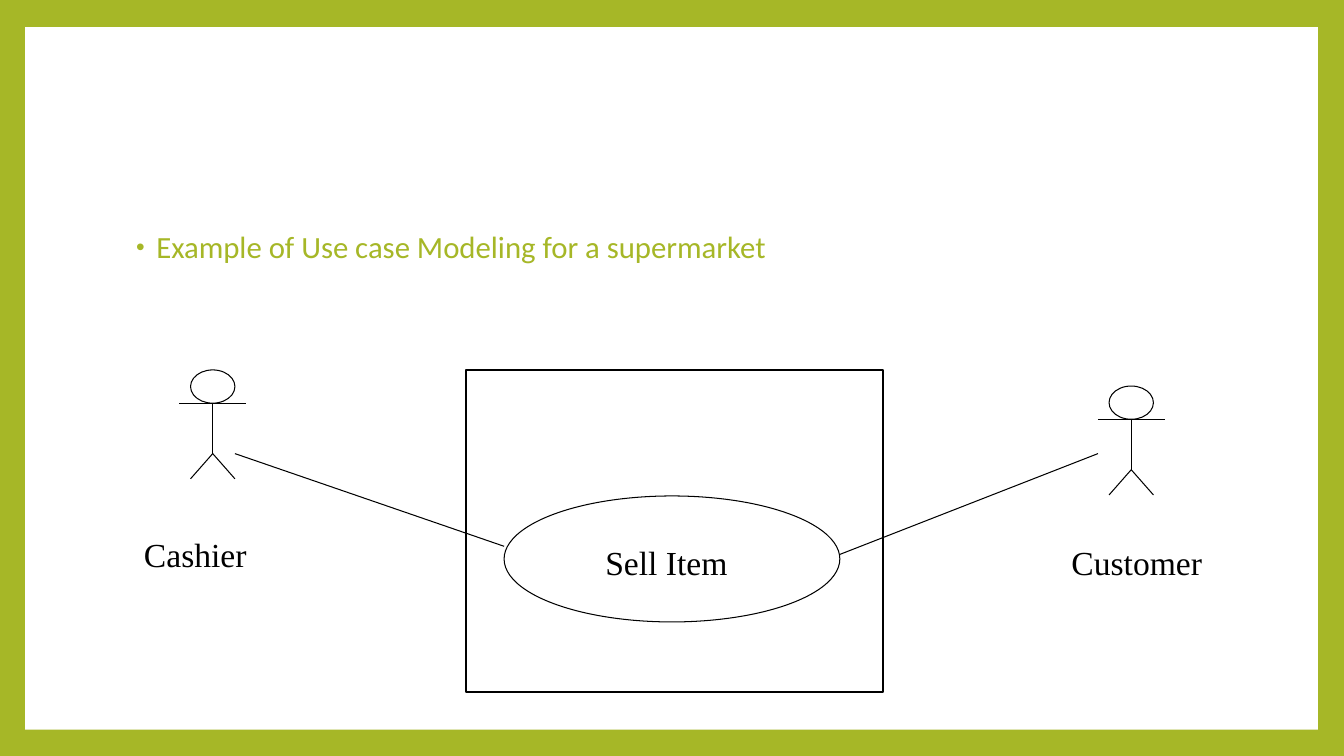
from lxml import etree
from pptx import Presentation
from pptx.dml.color import RGBColor
from pptx.enum import shapes, text
from pptx.oxml import ns
from pptx.util import Inches, Pt

# Content
HEAD = "Example of Use case Modeling for a supermarket"
COLORS = {"green": "A6B727", "white": "FFFFFF", "black": "000000"}
PANEL = (0.25, 0.27, 12.82, 6.97)
BODY = (1.25, 2.25, 10.8, 4.42)
SYSTEM = (4.62, 3.67, 4.14, 3.2)
CASE = (5, 4.92, 3.33, 1.25)
ACTORS = [(2.11, 3.67), (11.22, 3.83)]  # centre, top of head
LIMBS = [  # from and to, relative to centre and top of head
    (0, 0.33, 0, 0.83),
    (0, 0.83, 0.22, 1.08),
    (0, 0.83, -0.22, 1.08),
    (-0.33, 0.33, 0.33, 0.33),
]
LINKS = [(2.33, 4.5, 5, 5.42), (8.33, 5.5, 10.89, 4.5)]
LABELS = [
    ("Sell Item", (5.33, 5.33, 2.56, 0.5), text.PP_ALIGN.CENTER),
    ("Cashier", (1.33, 5.25, 1.67, 0.5), text.PP_ALIGN.LEFT),
    ("Customer", (10.11, 5.33, 2.33, 0.5), text.PP_ALIGN.CENTER),
]
BOX = shapes.MSO_SHAPE.RECTANGLE
OVAL = shapes.MSO_SHAPE.OVAL


def color(name):
    return RGBColor.from_string(COLORS[name])


def place(box):
    return [Inches(v) for v in box]


def style(font, name, size, tone):
    for key, val in {"name": name, "size": Pt(size)}.items():
        setattr(font, key, val)
    font.color.rgb = color(tone)


def draw(kind, box, fill=None, width=0):
    shape = slide.shapes.add_shape(kind, *place(box))
    shape.shadow.inherit = False
    if fill:
        shape.fill.solid()
        shape.fill.fore_color.rgb = color(fill)
    else:
        shape.fill.background()
    if width:
        shape.line.color.rgb = color("black")
        shape.line.width = Pt(width)
    else:
        shape.line.fill.background()
    return shape


def join(ends):
    line = slide.shapes.add_connector(shapes.MSO_CONNECTOR.STRAIGHT, *place(ends))
    line.line.color.rgb = color("black")
    line.line.width = Pt(0.75)
    etree.SubElement(line.element.spPr, ns.qn("a:effectLst"))


# Slide and background
deck = Presentation()
deck.slide_width, deck.slide_height = Inches(13.33), Inches(7.5)
slide = deck.slides.add_slide(deck.slide_layouts[1])
slide.background.fill.solid()
slide.background.fill.fore_color.rgb = color("green")
title = slide.shapes.title.element
title.getparent().remove(title)

# Body line, in front of the panel and the system box
body = slide.placeholders[1]
for key, val in zip(("left", "top", "width", "height"), place(BODY)):
    setattr(body, key, val)
body.element.addprevious(draw(BOX, PANEL, "white").element)
body.element.addprevious(draw(BOX, SYSTEM, "white", 1.5).element)
frame = body.text_frame
frame.auto_size = text.MSO_AUTO_SIZE.NONE
frame.vertical_anchor = text.MSO_ANCHOR.TOP
frame.text = HEAD
para = frame.paragraphs[0]
para.line_spacing = 0.9
para.space_before = Pt(0)
props = para._p.get_or_add_pPr()
props.set("marL", str(Inches(0.2)))
props.set("indent", str(-Inches(0.2)))
tint = etree.SubElement(props, ns.qn("a:buClr"))
etree.SubElement(tint, ns.qn("a:srgbClr"), val=COLORS["green"])
etree.SubElement(props, ns.qn("a:buSzPct"), val="80000")
etree.SubElement(props, ns.qn("a:buFont"), typeface="Arial")
etree.SubElement(props, ns.qn("a:buChar"), char="•")
style(para.runs[0].font, "Calibri", 22, "green")

# Actors, use case and links
for mid, top in ACTORS:
    draw(OVAL, (mid - 0.22, top, 0.44, 0.33), width=0.75)
    for x1, y1, x2, y2 in LIMBS:
        join((mid + x1, top + y1, mid + x2, top + y2))
draw(OVAL, CASE, width=0.75)
for link in LINKS:
    join(link)

# Labels
for words, box, align in LABELS:
    frame = slide.shapes.add_textbox(*place(box)).text_frame
    frame.word_wrap = True
    frame.auto_size = text.MSO_AUTO_SIZE.SHAPE_TO_FIT_TEXT
    frame.text = words
    para = frame.paragraphs[0]
    para.alignment = align
    style(para.runs[0].font, "Times New Roman", 24, "black")

deck.save("out.pptx")
